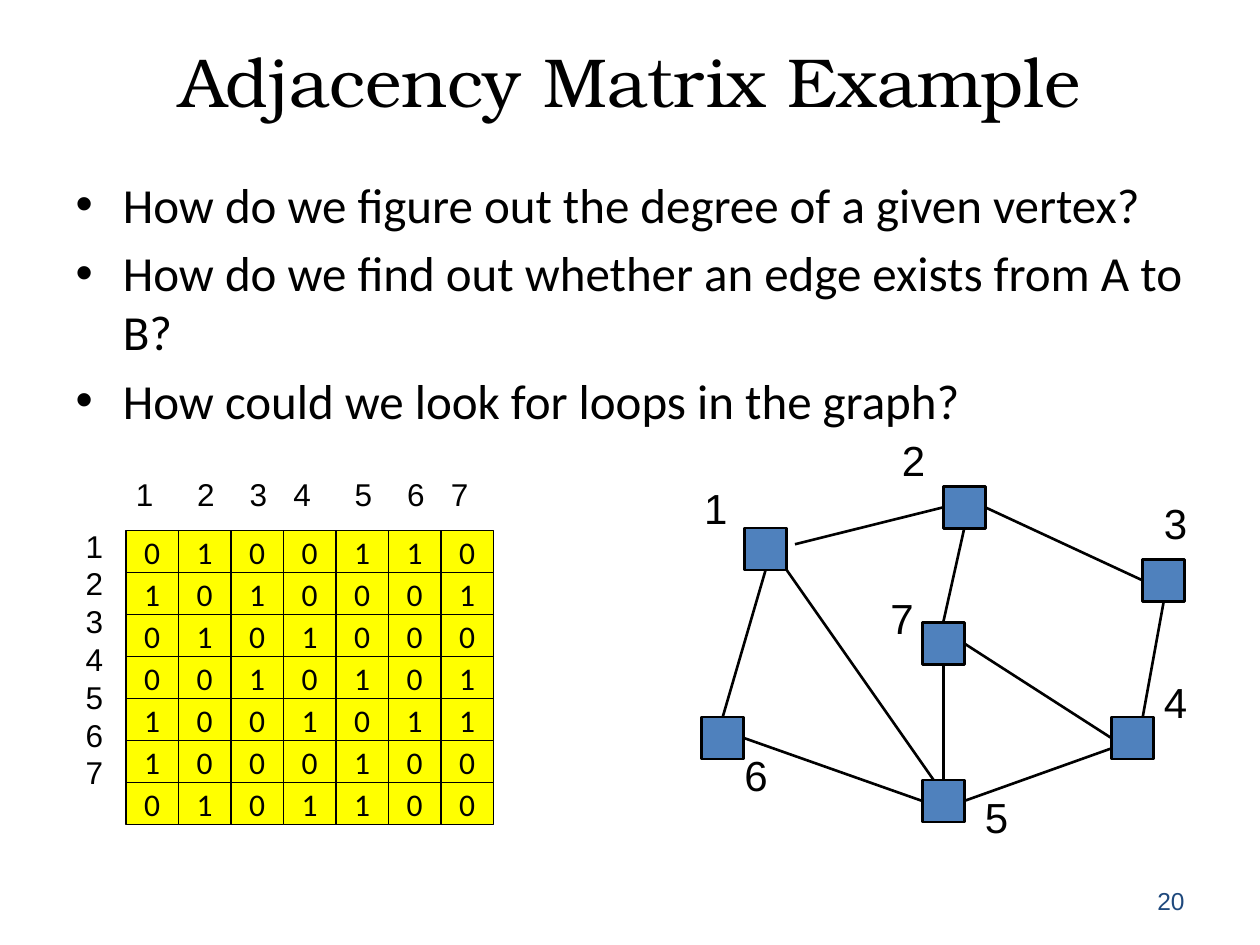
from lxml import etree
from pptx import Presentation
from pptx.dml.color import RGBColor
from pptx.enum import shapes as kinds, text as txt
from pptx.oxml import ns
from pptx.util import Pt

TITLE = "Adjacency Matrix Example"
QUESTIONS = [
    "How do we figure out the degree of a given vertex?",
    "How do we find out whether an edge exists from A to B?",
    "How could we look for loops in the graph?",
]
PAGE = "20"
MATRIX = ["0100110", "1010001", "0101000", "0010101",
          "1001011", "1000100", "0101100"]
VERTEX_NAMES = "1234567"

# name: (left, top) of the square, (left, top) of its label
VERTICES = {
    "1": ((425.5, 301.7), (395.3, 272)),
    "6": ((401, 409.7), (418.3, 425)),
    "5": ((527, 445.7), (555.8, 449)),
    "4": ((635, 409.7), (658, 383)),
    "7": ((527, 355.7), (501.8, 335)),
    "2": ((539, 277.9), (508.3, 245)),
    "3": ((653, 319.7), (658, 281)),
}
TOP, LEFT, BOTTOM, RIGHT = range(4)
# Each end is (vertex, side), or a plain (x, y) where it misses a side's middle
EDGES = [
    ((454.3, 311), ("2", LEFT)),
    (("2", BOTTOM), ("7", TOP)),
    (("2", RIGHT), ("3", LEFT)),
    (("7", RIGHT), ("4", LEFT)),
    (("3", BOTTOM), (653, 409.7)),
    (("7", BOTTOM), ("5", TOP)),
    (("5", RIGHT), (635, 427.7)),
    (("6", RIGHT), ("5", LEFT)),
    (("1", BOTTOM), ("6", TOP)),
    ((449.5, 325.7), (533.5, 445.7)),
]

COLORS = {"ink": "000000", "vertex": "4F81BD", "cell": "FFFF00", "page": "1F497D"}
SIDE = 24
CELL_WIDTH, CELL_HEIGHT = 30, 24
MATRIX_LEFT, MATRIX_TOP = 72, 303.3
COLUMN_TABS = [35, 65, 90, 125, 155, 180]


def color(name):
    return RGBColor.from_string(COLORS[name])


def place(shape, left, top, width, height):
    shape.left, shape.top, shape.width, shape.height = map(Pt, (left, top, width, height))


def add_run(paragraph, words, size, font="Arial", ink="ink"):
    run = paragraph.add_run()
    run.text = words
    run.font.size, run.font.name = Pt(size), font
    run.font.color.rgb = color(ink)


def add_label(slide, box, lines, size, ink="ink", wrap=False):
    frame = slide.shapes.add_textbox(*map(Pt, box)).text_frame
    frame.word_wrap = wrap
    for i, line in enumerate(lines):
        paragraph = frame.add_paragraph() if i else frame.paragraphs[0]
        add_run(paragraph, line, size, ink=ink)
    return frame


def add_rectangle(slide, box, fill, line_width):
    rectangle = slide.shapes.add_shape(kinds.MSO_SHAPE.RECTANGLE, *map(Pt, box))
    rectangle.shadow.inherit = False
    rectangle.fill.solid()
    rectangle.fill.fore_color.rgb = color(fill)
    rectangle.line.color.rgb = color("ink")
    rectangle.line.width = Pt(line_width)
    return rectangle


def add_headings(slide):
    title, body = slide.shapes.title, slide.placeholders[1]
    place(title, 36, 21.6, 648, 90)
    frame = title.text_frame
    frame.auto_size = txt.MSO_AUTO_SIZE.NONE
    frame.vertical_anchor = txt.MSO_ANCHOR.TOP
    frame.margin_top = 0
    frame.paragraphs[0].alignment = txt.PP_ALIGN.CENTER
    add_run(frame.paragraphs[0], TITLE, 39.6, "TeX Gyre Bonum")

    place(body, 36, 96, 648, 389)
    frame = body.text_frame
    frame.auto_size = txt.MSO_AUTO_SIZE.NONE
    for i, question in enumerate(QUESTIONS):
        paragraph = frame.add_paragraph() if i else frame.paragraphs[0]
        add_run(paragraph, question, 28, "Calibri")

    frame = add_label(slide, (516, 500.4, 168, 28.8), [PAGE], 14, "page", wrap=True)
    frame.vertical_anchor = txt.MSO_ANCHOR.MIDDLE
    frame.paragraphs[0].alignment = txt.PP_ALIGN.RIGHT


def add_graph(slide):
    squares = {name: add_rectangle(slide, (*corner, SIDE, SIDE), "vertex", 1.5)
               for name, (corner, _) in VERTICES.items()}
    for ends in EDGES:
        edge = slide.shapes.add_connector(kinds.MSO_CONNECTOR.STRAIGHT, 0, 0, 0, 0)
        (edge.begin_x, edge.begin_y), (edge.end_x, edge.end_y) = [
            (0, 0) if end[0] in squares else map(Pt, end) for end in ends]
        for end, connect in zip(ends, (edge.begin_connect, edge.end_connect)):
            if end[0] in squares:
                connect(squares[end[0]], end[1])
        edge.line.color.rgb = color("ink")
        edge.line.width = Pt(1.5)
        etree.SubElement(edge._element.spPr, ns.qn("a:effectLst"))
    for name, (_, corner) in VERTICES.items():
        add_label(slide, (*corner, 28, 36), [name], 24)


def add_matrix(slide):
    for row, values in enumerate(MATRIX):
        for column, value in enumerate(values):
            box = (MATRIX_LEFT + column * CELL_WIDTH, MATRIX_TOP + row * CELL_HEIGHT,
                   CELL_WIDTH, CELL_HEIGHT)
            frame = add_rectangle(slide, box, "cell", 0.75).text_frame
            frame.word_wrap = False
            frame.vertical_anchor = txt.MSO_ANCHOR.MIDDLE
            frame.paragraphs[0].alignment = txt.PP_ALIGN.CENTER
            add_run(frame.paragraphs[0], value, 18, "Calibri")

    add_label(slide, (41.8, 297.4, 26, 175), VERTEX_NAMES, 18)
    header = add_label(slide, (70.6, 267.8, 211, 28.8),
                       ["\t".join(VERTEX_NAMES)], 18, wrap=True)
    tabs = etree.SubElement(header.paragraphs[0]._p.get_or_add_pPr(), ns.qn("a:tabLst"))
    for stop in COLUMN_TABS:
        etree.SubElement(tabs, ns.qn("a:tab"), pos=str(Pt(stop)), algn="l")


def main():
    deck = Presentation()
    deck.slide_width, deck.slide_height = Pt(720), Pt(540)
    slide = deck.slides.add_slide(deck.slide_layouts[1])
    add_headings(slide)
    add_graph(slide)
    add_matrix(slide)
    deck.save("out.pptx")


if __name__ == "__main__":
    main()
